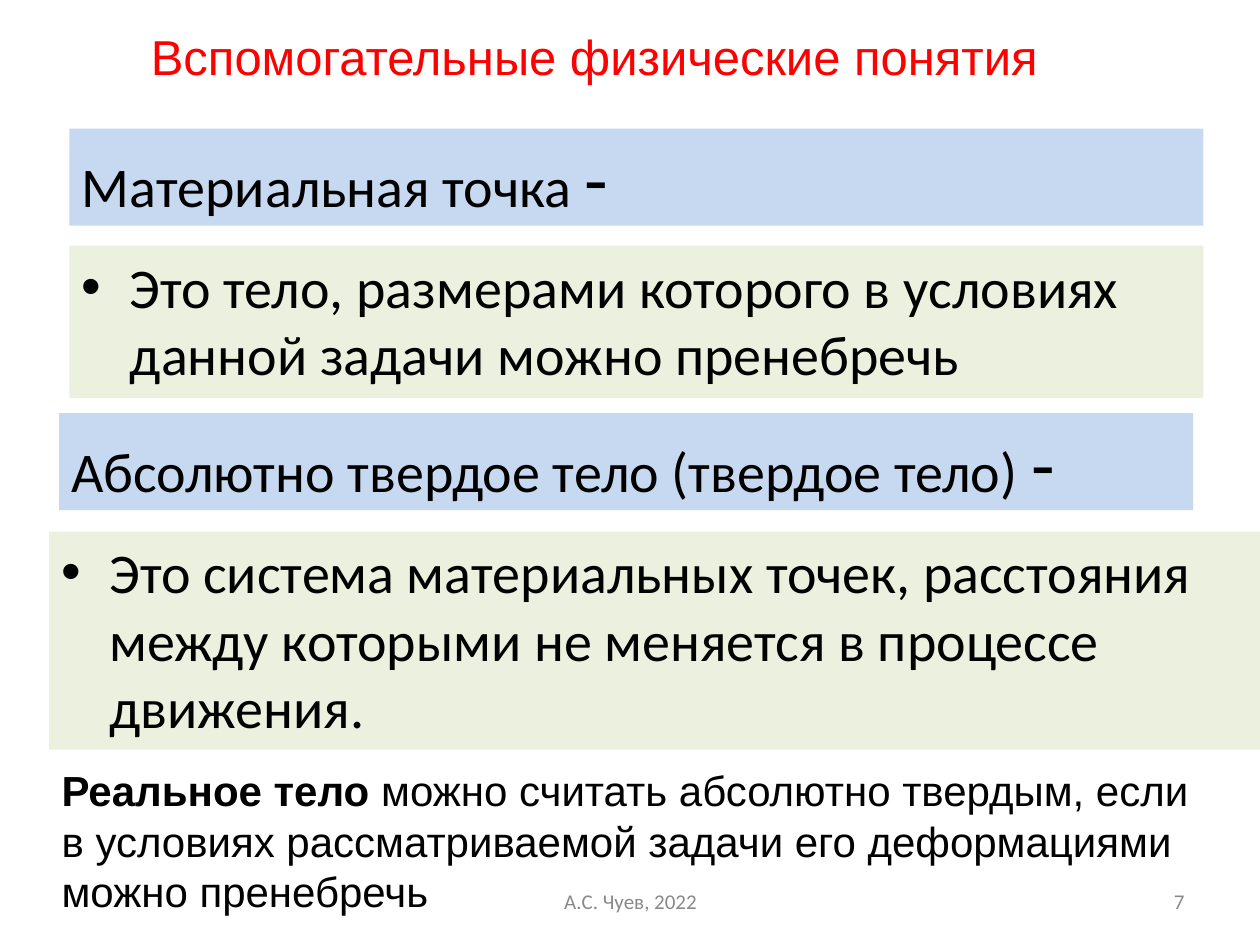
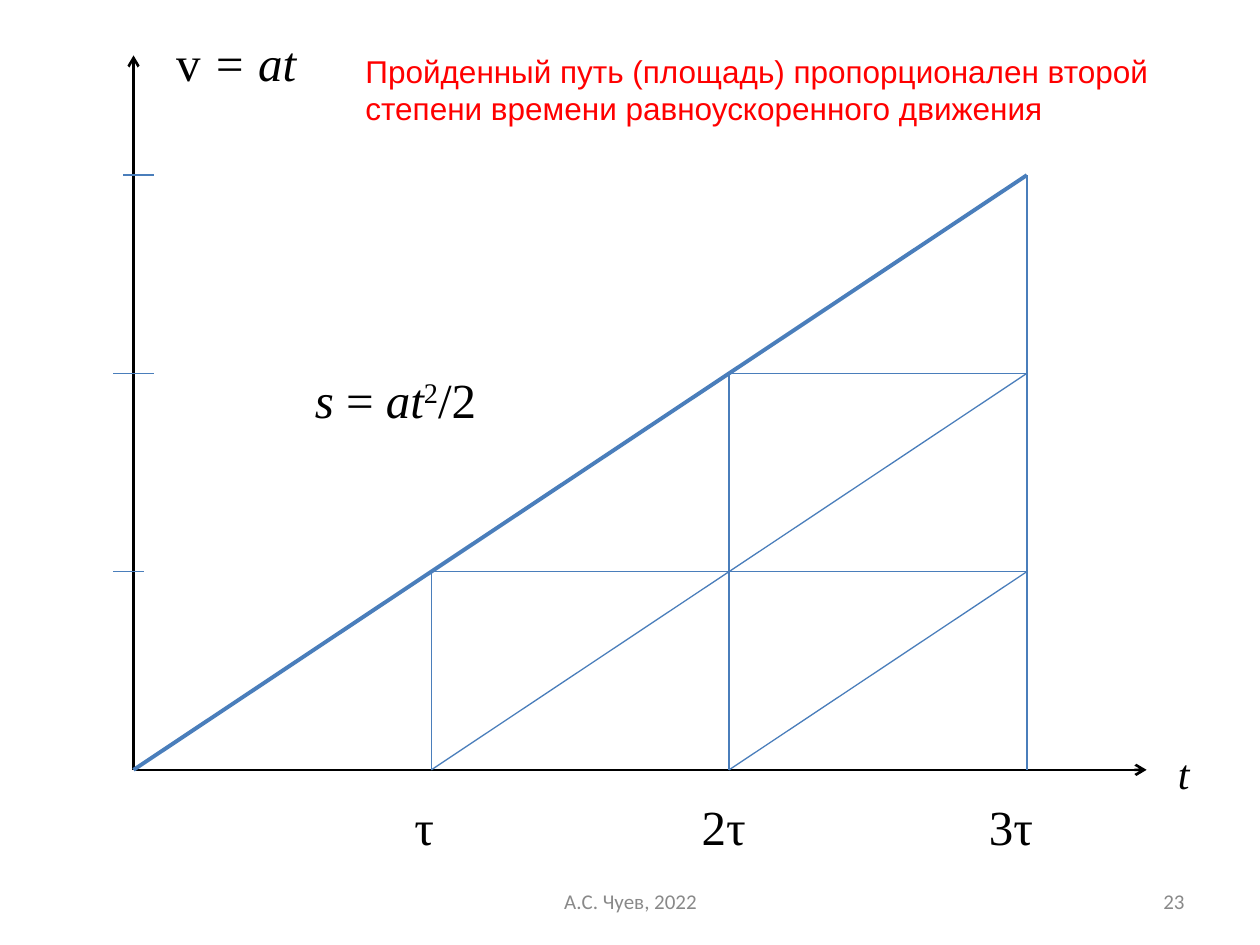
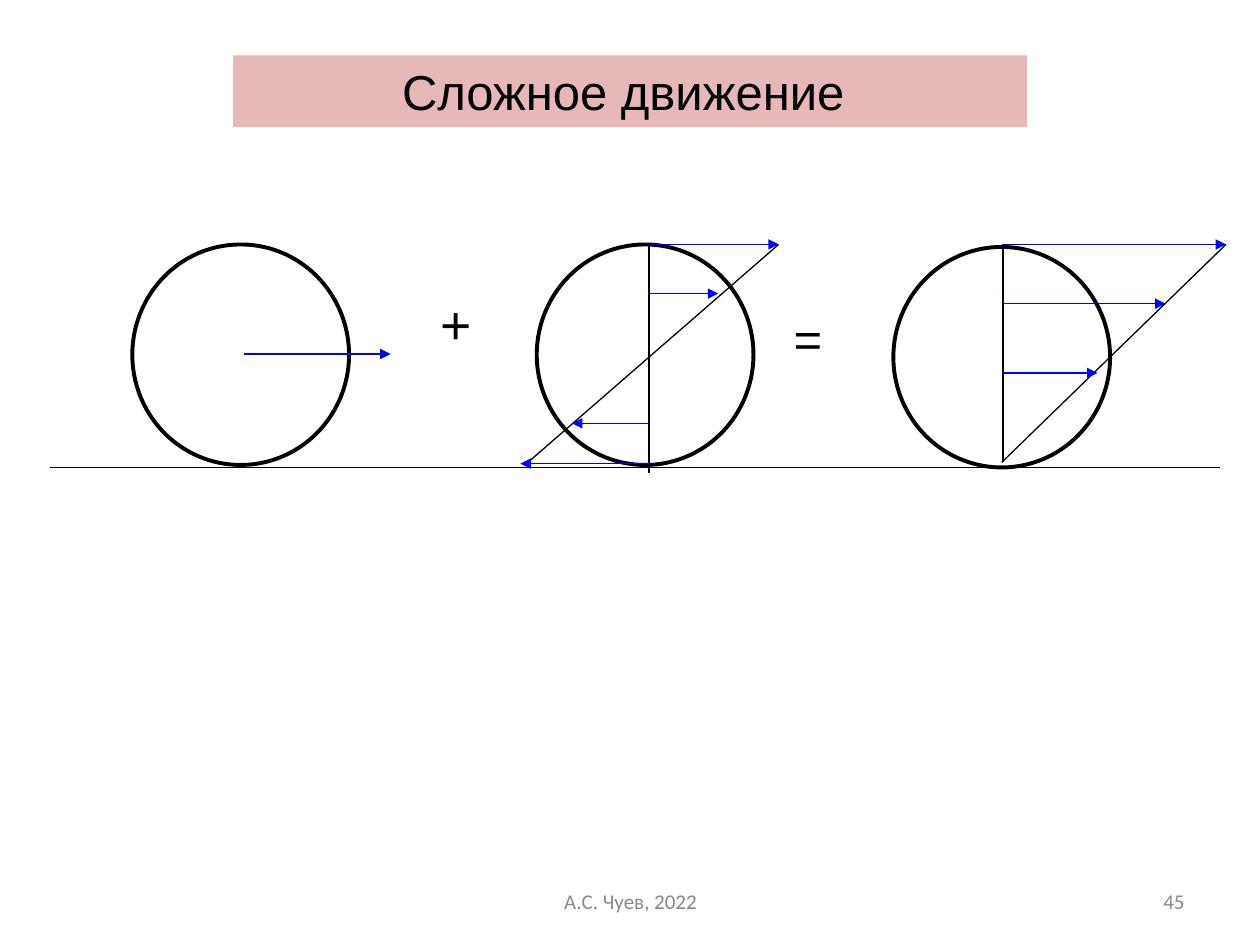
"""Build three mechanics lecture slides: definitions, distance travelled and compound motion."""
from pptx import Presentation
from pptx.dml.color import RGBColor
from pptx.enum.shapes import MSO_CONNECTOR, MSO_SHAPE
from pptx.enum.text import MSO_ANCHOR, MSO_AUTO_SIZE, PP_ALIGN
from pptx.oxml.ns import qn
from pptx.util import Inches, Pt
from lxml.etree import SubElement

BLACK = "000000"
WHITE = "FFFFFF"
RED = "FF0000"
GREY = "898989"
TERM_BLUE = "C6D9F1"
DEFINITION_GREEN = "EBF1DE"
HEADING_PINK = "E6B9B8"
GRID_BLUE = "4A7EBB"
VELOCITY_BLUE = "0000FF"
SANS = "Arial"
BODY = "Calibri"
SERIF = "Times New Roman"
TITLE_AND_CONTENT, TITLE_ONLY = 1, 5
FOOTER = "А.С. Чуев, 2022"
ITALIC = {"italic": True}


def color(hex_value):
    return RGBColor.from_string(hex_value)


def place(shape, left, top, width, height):
    shape.left, shape.top = Inches(left), Inches(top)
    shape.width, shape.height = Inches(width), Inches(height)


def fill_with(shape, hex_value):
    shape.fill.solid()
    shape.fill.fore_color.rgb = color(hex_value)


def add_run(paragraph, text, size, font, hex_value, bold=False, italic=False, superscript=False):
    run = paragraph.add_run()
    run.text = text
    run.font.size = Pt(size)
    run.font.name = font
    run.font.bold = bold
    run.font.italic = italic
    run.font.color.rgb = color(hex_value)
    if superscript:
        run.font._element.set("baseline", "30000")


def write(shape, runs, size, font, hex_value=BLACK, align=PP_ALIGN.LEFT, anchor=MSO_ANCHOR.TOP):
    """Write (text, options) runs into the first paragraph; options override the shared style."""
    frame = shape.text_frame
    frame.word_wrap = True
    frame.auto_size = MSO_AUTO_SIZE.NONE
    frame.vertical_anchor = anchor
    paragraph = frame.paragraphs[0]
    paragraph.alignment = align
    for text, options in runs:
        add_run(paragraph, text, **{"size": size, "font": font, "hex_value": hex_value, **options})
    return paragraph


def add_text(slide, box, runs, size, font, **style):
    shape = slide.shapes.add_textbox(*map(Inches, box))
    return write(shape, runs, size, font, **style)


def add_shape(slide, kind, box, fill, line=None, line_width=2.25):
    shape = slide.shapes.add_shape(kind, *map(Inches, box))
    shape.shadow.inherit = False
    fill_with(shape, fill)
    if line:
        shape.line.color.rgb = color(line)
        shape.line.width = Pt(line_width)
    else:
        shape.line.fill.background()
    return shape


def add_line(slide, start, end, hex_value=BLACK, width=0.75, arrow=None):
    connector = slide.shapes.add_connector(MSO_CONNECTOR.STRAIGHT, *map(Inches, (*start, *end)))
    connector.line.color.rgb = color(hex_value)
    connector.line.width = Pt(width)
    properties = connector._element.spPr
    if arrow:
        SubElement(properties.find(qn("a:ln")), qn("a:tailEnd"), type=arrow)
    SubElement(properties, qn("a:effectLst"))


def write_term(shape, term):
    fill_with(shape, TERM_BLUE)
    write(shape, [(term, {}), ("-", {"size": 44})], 32, BODY, anchor=MSO_ANCHOR.MIDDLE)


def write_definition(shape, text):
    fill_with(shape, DEFINITION_GREEN)
    paragraph = write(shape, [(text, {})], 32, BODY)
    paragraph.space_before = Pt(8)
    properties = paragraph._p.get_or_add_pPr()
    properties.set("marL", str(Inches(0.38)))
    properties.set("indent", str(Inches(-0.38)))
    SubElement(properties, qn("a:buFont"), typeface=SANS)
    SubElement(properties, qn("a:buChar"), char="•")


def add_slide(presentation, layout, number):
    slide = presentation.slides.add_slide(presentation.slide_layouts[layout])
    style = {"hex_value": GREY, "anchor": MSO_ANCHOR.MIDDLE}
    add_text(slide, (3.42, 6.95, 3.17, 0.4), [(FOOTER, {})], 12, BODY, align=PP_ALIGN.CENTER, **style)
    add_text(slide, (7.17, 6.95, 2.33, 0.4), [(str(number), {})], 12, BODY, align=PP_ALIGN.RIGHT, **style)
    return slide


def build_definitions(presentation):
    slide = add_slide(presentation, TITLE_AND_CONTENT, 7)
    title, body = slide.shapes.title, slide.placeholders[1]
    place(title, 0.55, 1.02, 9, 0.77)
    write_term(title, "Материальная точка ")
    place(body, 0.55, 1.95, 9, 1.21)
    write_definition(body, "Это тело, размерами которого в условиях данной задачи можно пренебречь")

    rigid_body_term = add_shape(slide, MSO_SHAPE.RECTANGLE, (0.47, 3.28, 9, 0.77), TERM_BLUE)
    write_term(rigid_body_term, "Абсолютно твердое тело (твердое тело) ")
    rigid_body = add_shape(slide, MSO_SHAPE.RECTANGLE, (0.39, 4.22, 9.61, 1.73), DEFINITION_GREEN)
    write_definition(
        rigid_body,
        "Это система материальных точек, расстояния между которыми не меняется в процессе движения.",
    )

    add_text(slide, (0.39, 6.02, 9.21, 1.3), [
        ("Реальное тело ", {"bold": True}),
        ("можно считать абсолютно твердым, если в условиях рассматриваемой задачи "
         "его деформациями можно пренебречь", {}),
    ], 24, SANS)
    add_text(slide, (0.94, 0.16, 7.66, 0.57), [("Вспомогательные физические понятия ", {})],
             28, SANS, hex_value=RED, align=PP_ALIGN.CENTER)


def graph_point(time, speed):
    """Return the slide position of a point given in whole time and speed steps."""
    return 1.06 + time * 7.09 / 3, 6.11 - speed * 4.72 / 3


def build_distance_graph(presentation):
    slide = add_slide(presentation, TITLE_ONLY, 23)
    place(slide.shapes.title, 2.8, 0.36, 6.93, 0.7)
    write(slide.shapes.title, [
        ("Пройденный путь (площадь) пропорционален второй степени времени равноускоренного движения", {}),
    ], 18, SANS, RED)

    origin = graph_point(0, 0)
    for axis_end in ((1.06, 0.44), (9.1, 6.11)):
        add_line(slide, origin, axis_end, width=1.5, arrow="arrow")
    add_line(slide, origin, graph_point(3, 3), GRID_BLUE, 2.25)
    for step in (1, 2, 3):
        add_line(slide, graph_point(step, step), graph_point(step, 0), GRID_BLUE)
    for step in (1, 2):
        add_line(slide, graph_point(step, step), graph_point(3, step), GRID_BLUE)
        add_line(slide, graph_point(step, 0), graph_point(3, 3 - step), GRID_BLUE)
    for speed, (left, right) in enumerate(((0.9, 1.14), (0.9, 1.22), (0.98, 1.22)), start=1):
        height = graph_point(0, speed)[1]
        add_line(slide, (left, height), (right, height), GRID_BLUE)

    for index, label in enumerate(("τ", "2τ", "3τ")):
        add_text(slide, (3.19 + 2.28 * index, 6.27, 0.63, 0.57), [(label, {})], 28, SERIF)
    add_text(slide, (1.3, 0.21, 1.34, 0.57), [("v", {}), (" = at", ITALIC)], 28, SERIF)
    add_text(slide, (9.25, 5.88, 0.32, 0.5), [("t", ITALIC)], 24, SERIF)
    add_text(slide, (2.4, 2.88, 1.65, 0.57), [
        ("s", ITALIC), (" = ", {}), ("at", ITALIC), ("2", {"superscript": True}), ("/2", {}),
    ], 28, SERIF)


def build_compound_motion(presentation):
    slide = add_slide(presentation, TITLE_ONLY, 45)
    title = slide.shapes.title
    place(title, 1.85, 0.44, 6.3, 0.57)
    fill_with(title, HEADING_PINK)
    write(title, [("Сложное движение ", {})], 28, SANS, align=PP_ALIGN.CENTER)

    add_line(slide, (0.4, 3.71), (9.68, 3.71))
    for left, top in ((1.05, 1.94), (4.26, 1.94), (7.09, 1.96)):
        add_shape(slide, MSO_SHAPE.OVAL, (left, top, 1.72, 1.75), WHITE, BLACK)

    diameters_and_profiles = (
        ((5.15, 3.75), (5.15, 1.94)),
        ((4.19, 3.67), (6.18, 1.94)),
        ((7.96, 3.67), (7.96, 1.94)),
        ((9.73, 1.94), (7.95, 3.67)),
    )
    for start, end in diameters_and_profiles:
        add_line(slide, start, end)

    velocities = (
        (1.94, ((2.81, 3.1),)),
        (5.15, ((1.94, 6.18), (2.33, 5.7), (3.36, 4.54), (3.68, 4.13))),
        (7.96, ((1.94, 9.73), (2.41, 9.25), (2.96, 8.71))),
    )
    for center, arrows in velocities:
        for height, tip in arrows:
            add_line(slide, (center, height), (tip, height), VELOCITY_BLUE, arrow="triangle")

    plus = add_shape(slide, MSO_SHAPE.RECTANGLE, (3.4, 2.32, 0.68, 0.63), WHITE)
    write(plus, [("+", {})], 30.6, SANS).line_spacing = 0.9
    equals = add_shape(slide, MSO_SHAPE.RECTANGLE, (6.2, 2.4, 0.68, 0.71), WHITE)
    write(equals, [("=", {})], 28, SANS)


def main():
    presentation = Presentation()
    presentation.slide_width, presentation.slide_height = Inches(10), Inches(7.5)
    build_definitions(presentation)
    build_distance_graph(presentation)
    build_compound_motion(presentation)
    presentation.save("out.pptx")


if __name__ == "__main__":
    main()
